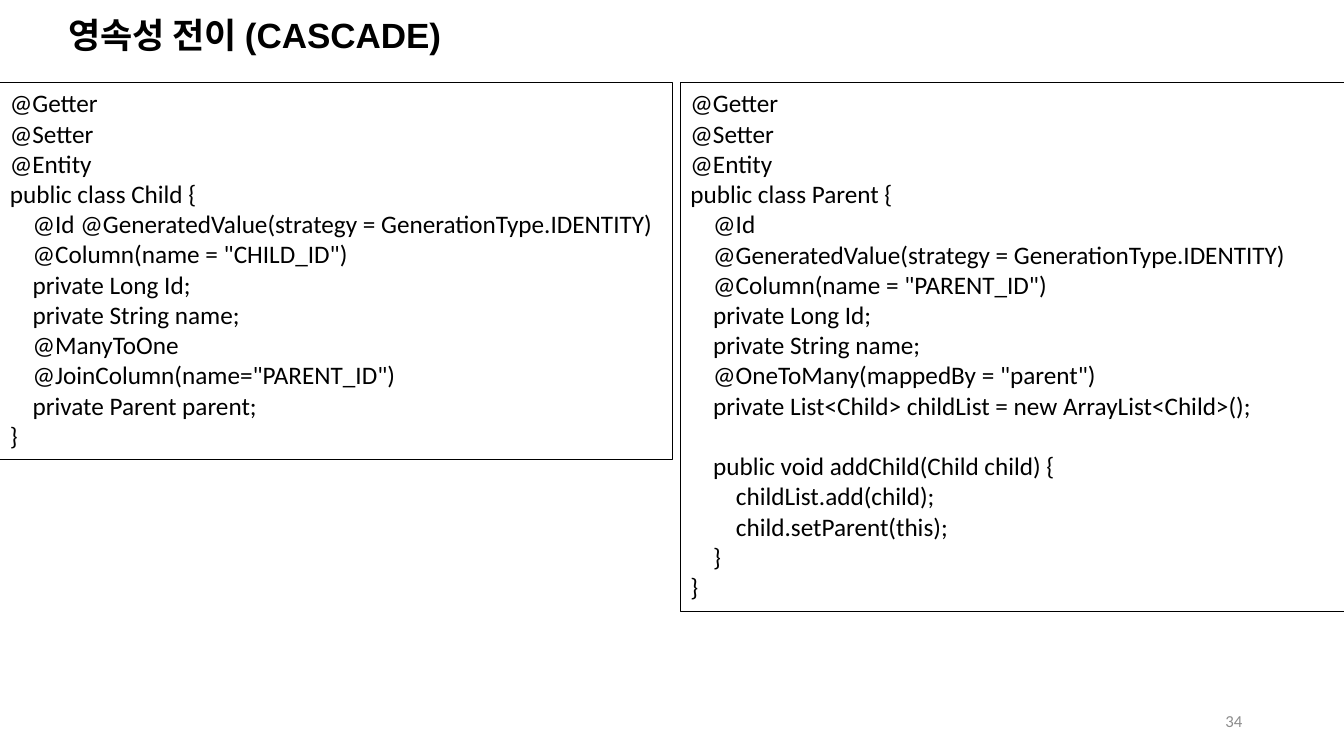
from dataclasses import dataclass

import pptx
import pptx.dml.color
import pptx.enum.shapes
import pptx.enum.text
import pptx.util
from pptx.util import Inches


@dataclass(frozen=True)
class Theme:
    ink: str = "000000"
    muted: str = "8C8C8C"
    title_font: str = "Arial"
    body_font: str = "Calibri"
    title_size: int = 25
    code_size: int = 18
    number_size: int = 12


theme = Theme()
Align = pptx.enum.text.PP_ALIGN
Anchor = pptx.enum.text.MSO_ANCHOR


def write(sp, text, size, font=theme.body_font, color=theme.ink, bold=False,
          align=Align.LEFT, anchor=Anchor.TOP, spacing=1.0):
    tf = sp.text_frame
    tf.word_wrap = True
    tf.vertical_anchor = anchor
    for i, line in enumerate(text.split("\n")):
        p = tf.paragraphs[0] if i == 0 else tf.add_paragraph()
        p.alignment = align
        p.line_spacing = spacing
        p.font.size = pptx.util.Pt(size)
        if line:
            r = p.add_run()
            r.text = line
            r.font.size = pptx.util.Pt(size)
            r.font.name = font
            r.font.bold = bold
            r.font.color.rgb = pptx.dml.color.RGBColor.from_string(color)


child_code = """@Getter
@Setter
@Entity
public class Child {
    @Id @GeneratedValue(strategy = GenerationType.IDENTITY)
    @Column(name = "CHILD_ID")
    private Long Id;
    private String name;
    @ManyToOne
    @JoinColumn(name="PARENT_ID")
    private Parent parent;
}"""

parent_code = """@Getter
@Setter
@Entity
public class Parent {
    @Id
    @GeneratedValue(strategy = GenerationType.IDENTITY)
    @Column(name = "PARENT_ID")
    private Long Id;
    private String name;
    @OneToMany(mappedBy = "parent")
    private List<Child> childList = new ArrayList<Child>();

    public void addChild(Child child) {
        childList.add(child);
        child.setParent(this);
    }
}"""

prs = pptx.Presentation()
prs.slide_width = Inches(13.33)
prs.slide_height = Inches(7.5)
s = prs.slides.add_slide(prs.slide_layouts[6])

title = s.shapes.add_textbox(Inches(0.58), Inches(0.18), Inches(11.5), Inches(0.38))
write(title, "영속성 전이 (CASCADE)", theme.title_size, font=theme.title_font,
      bold=True, anchor=Anchor.MIDDLE, spacing=0.9)

number = s.shapes.add_textbox(Inches(9.42), Inches(6.95), Inches(3), Inches(0.4))
write(number, "34", theme.number_size, color=theme.muted,
      align=Align.RIGHT, anchor=Anchor.MIDDLE)

for left, height, code in [(0, 3.74, child_code), (6.75, 5.25, parent_code)]:
    sp = s.shapes.add_shape(pptx.enum.shapes.MSO_SHAPE.RECTANGLE,
                            Inches(left), Inches(0.82), Inches(6.67), Inches(height))
    sp.shadow.inherit = False
    sp.fill.background()
    sp.line.color.rgb = pptx.dml.color.RGBColor.from_string(theme.ink)
    sp.line.width = pptx.util.Pt(0.75)
    write(sp, code, theme.code_size)
    sp.text_frame.auto_size = pptx.enum.text.MSO_AUTO_SIZE.SHAPE_TO_FIT_TEXT

prs.save("out.pptx")
